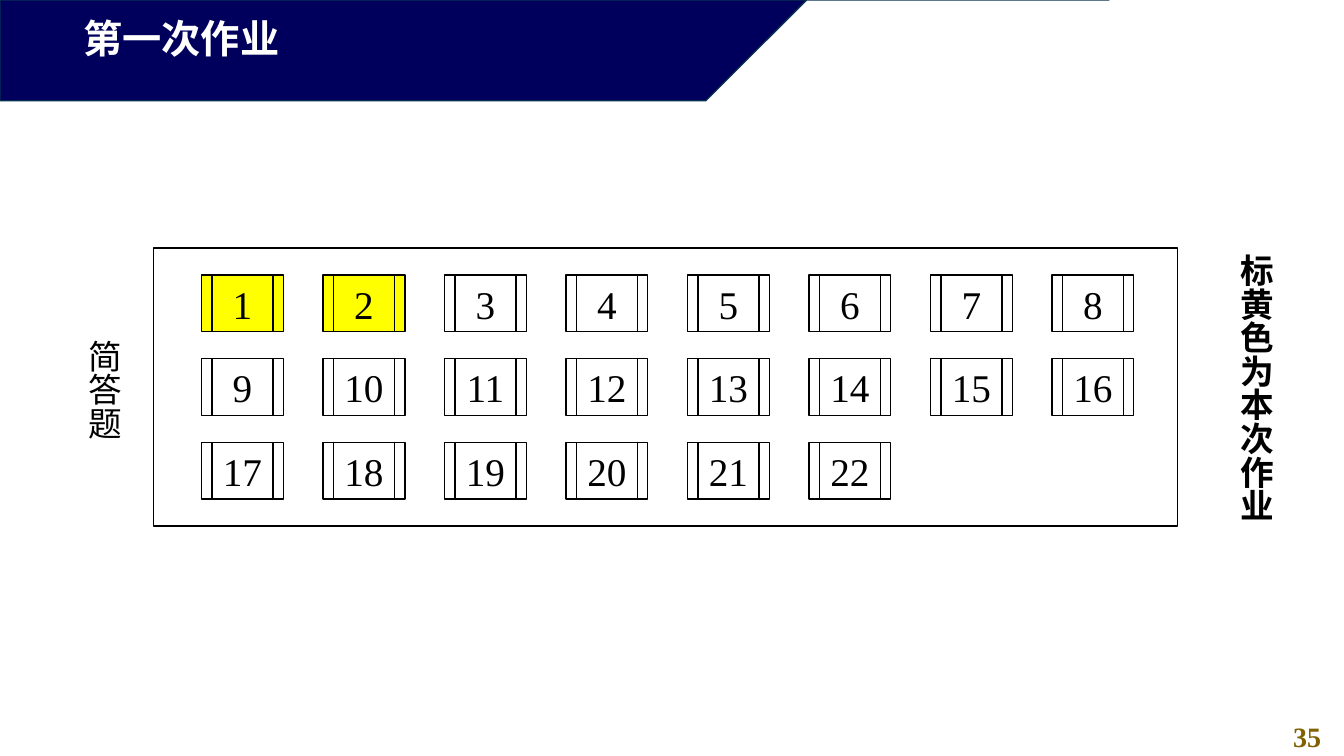
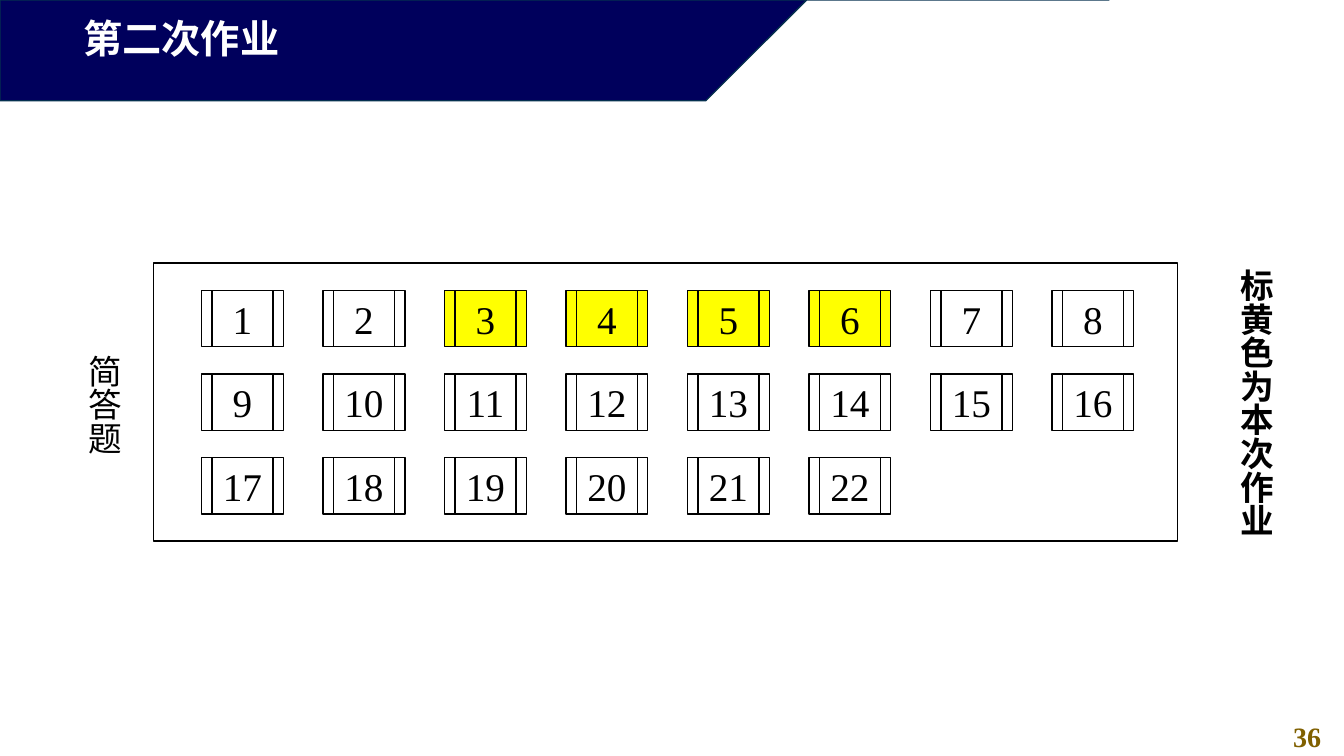
from pptx import Presentation
from pptx.dml.color import RGBColor
from pptx.enum.shapes import MSO_SHAPE as Shape
from pptx.enum.text import MSO_ANCHOR as Anchor, MSO_AUTO_SIZE as AutoSize, PP_ALIGN as Align
from pptx.util import Inches, Pt

COLORS = {
    "band": "00005C",
    "band_edge": "05304F",
    "title": "FFFFFF",
    "ink": "000000",
    "marked": "FFFF00",
    "number": "806000",
}
FONT = "Times New Roman"
BAND = [(-0.01, -0.01), (0, 0.7), (2.42, 1.02), (4.62, 1), (6.57, 0.88),
        (8.39, 0.5), (10.23, 0.33), (11.03, 0.38), (11, 0)]
COLUMNS, QUESTIONS = 8, 22
COLUMN_STEP, ROW_STEP = 1.205, 0.83
ASSIGNMENTS = [
    ("第一次作业", 35, 2.46, {1, 2}),
    ("第二次作业", 36, 2.61, {3, 4, 5, 6}),
]


def style_shape(shape, fill, line):
    shape.shadow.inherit = False
    if fill:
        shape.fill.solid()
        shape.fill.fore_color.rgb = RGBColor.from_string(COLORS[fill])
    else:
        shape.fill.background()
    shape.line.color.rgb = RGBColor.from_string(COLORS[line])
    shape.line.width = Pt(1)


def write(shape, text, size, color="ink", bold=False, align=Align.LEFT):
    shape.text_frame.text = text
    para = shape.text_frame.paragraphs[0]
    para.alignment = align
    font = para.runs[0].font
    font.name = FONT
    font.size = Pt(size)
    font.bold = bold
    font.color.rgb = RGBColor.from_string(COLORS[color])


deck = Presentation()
deck.slide_width, deck.slide_height = Inches(13.33), Inches(7.5)

for title, number, top, marked in ASSIGNMENTS:
    page = deck.slides.add_slide(deck.slide_layouts[6])
    shapes = page.shapes

    outline = shapes.build_freeform(*BAND[0], scale=Inches(1))
    outline.add_line_segments(BAND[1:], close=True)
    style_shape(outline.convert_to_shape(), "band", "band_edge")

    number_box = shapes.add_textbox(Inches(12.6), Inches(7.09), Inches(0.73), Inches(0.44))
    write(number_box, str(number), 20, "number", True, Align.CENTER)
    title_box = shapes.add_textbox(Inches(0.73), Inches(0.09), Inches(7.68), Inches(0.57))
    write(title_box, title, 28, "title", True)
    for box in (number_box, title_box):
        box.text_frame.word_wrap = True
        box.text_frame.auto_size = AutoSize.SHAPE_TO_FIT_TEXT

    frame = shapes.add_shape(Shape.RECTANGLE, Inches(1.52), Inches(top), Inches(10.16), Inches(2.76))
    style_shape(frame, None, "ink")

    for index in range(QUESTIONS):
        row, column = divmod(index, COLUMNS)
        question = shapes.add_shape(
            Shape.FLOWCHART_PREDEFINED_PROCESS,
            Inches(2 + column * COLUMN_STEP), Inches(top + 0.27 + row * ROW_STEP),
            Inches(0.81), Inches(0.56))
        style_shape(question, "marked" if index + 1 in marked else None, "ink")
        text_frame = question.text_frame
        text_frame.margin_left = text_frame.margin_right = 0
        text_frame.vertical_anchor = Anchor.MIDDLE
        write(question, str(index + 1), 28, align=Align.CENTER)

    for text, left, offset, height, bold in [
        ("简答题", 0.67, 0.81, 1.11, False),
        ("标黄色为本次作业", 12.1, -0.04, 2.79, True),
    ]:
        label = shapes.add_textbox(Inches(left), Inches(top + offset), Inches(0.61), Inches(height))
        label.element.txBody.bodyPr.set("vert", "eaVert")
        label.text_frame.word_wrap = False
        label.text_frame.auto_size = AutoSize.SHAPE_TO_FIT_TEXT
        write(label, text, 24, bold=bold)

deck.save("out.pptx")
